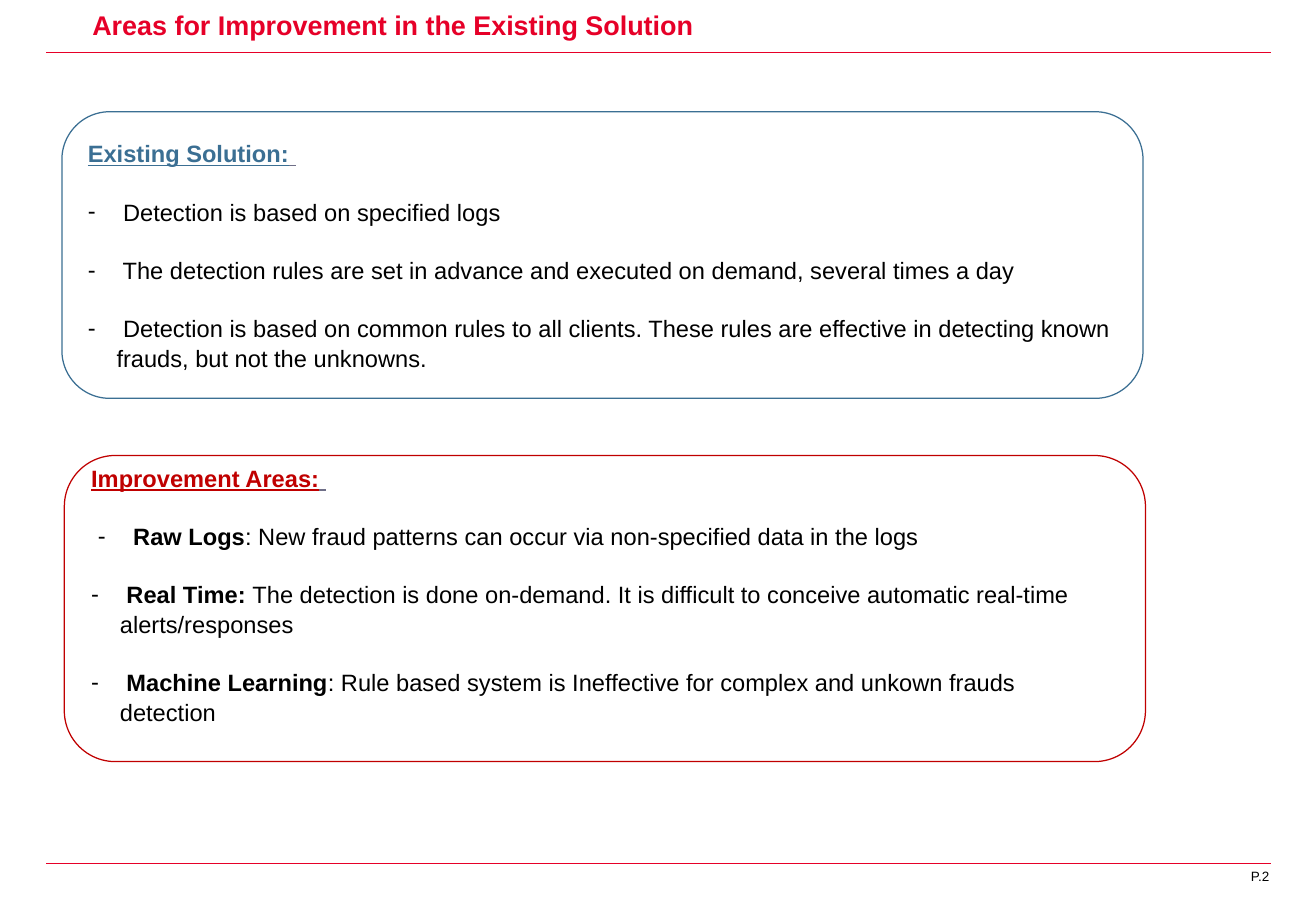
from lxml import etree
from pptx import Presentation
from pptx.dml.color import RGBColor
from pptx.enum.shapes import MSO_CONNECTOR, MSO_SHAPE
from pptx.enum.text import MSO_ANCHOR, MSO_AUTO_SIZE, PP_ALIGN
from pptx.oxml.ns import qn
from pptx.util import Pt

RED = RGBColor(0xE6, 0x00, 0x28)
BLUE = RGBColor(0x3B, 0x6F, 0x93)
DARK_RED = RGBColor(0xC0, 0x00, 0x00)
GREY = RGBColor(0x6E, 0x6E, 0x87)
BLACK = RGBColor(0, 0, 0)

TITLE = "Areas for Improvement in the Existing Solution"
PAGE_LABEL = "P.2"

# Points are (bold lead, plain text, left margin); lengths in points
PANELS = [
    {"heading": "Existing Solution:", "color": BLUE,
     "box": (36.72, 66.24, 640.8, 169.92),
     "insets": {"margin_right": 7.2, "margin_bottom": 3.6},
     "points": [
         ("", "Detection is based on specified logs", 17),
         ("", "The detection rules are set in advance and executed on demand, "
              "several times a day", 17),
         ("", "Detection is based on common rules to all clients. These rules are "
              "effective in detecting known frauds, but not the unknowns.", 17),
     ]},
    {"heading": "Improvement Areas:", "color": DARK_RED,
     "box": (38.16, 270, 640.8, 181.44),
     "insets": {"margin_right": 12, "margin_bottom": 20.5},
     "points": [
         ("Raw Logs", ": New fraud patterns can occur via non-specified data in the logs", 21),
         ("Real Time: ", "The detection is done on-demand. It is difficult to conceive "
                         "automatic real-time alerts/responses", 17),
         ("Machine Learning", ": Rule based system is Ineffective for complex and "
                              "unkown frauds detection", 17),
     ]},
]

RULE_LEFT, RULE_RIGHT = 27.36, 753.12
RULE_TOPS = (30.96, 511.92)
HANGING = 17
POINT_GAP = 16.9


def add_run(paragraph, text, size, color, **font_format):
    run = paragraph.add_run()
    run.text = text
    run.font.name = "Arial"
    run.font.size = Pt(size)
    run.font.color.rgb = color
    for name, value in font_format.items():
        setattr(run.font, name, value)


def add_dash(paragraph, left_margin):
    """Give the paragraph a dash bullet with a hanging indent."""
    properties = paragraph._p.get_or_add_pPr()
    properties.set("marL", str(Pt(left_margin)))
    properties.set("indent", str(-Pt(HANGING)))
    etree.SubElement(properties, qn("a:buFont"), typeface="Arial")
    etree.SubElement(properties, qn("a:buChar"), char="-")


def set_frame(frame, **frame_format):
    for name, value in frame_format.items():
        setattr(frame, name, value)


def add_rule(slide, top):
    rule = slide.shapes.add_connector(
        MSO_CONNECTOR.STRAIGHT, Pt(RULE_LEFT), Pt(top), Pt(RULE_RIGHT), Pt(top))
    rule.line.color.rgb = RED
    rule.line.width = Pt(0.5)
    etree.SubElement(rule._element.spPr, qn("a:effectLst"))


def add_title(slide):
    title = slide.shapes.title
    place = {"left": 47.52, "top": 3.6, "width": 668.16, "height": 30.24}
    for name, value in place.items():
        setattr(title, name, Pt(value))
    set_frame(title.text_frame, vertical_anchor=MSO_ANCHOR.TOP, word_wrap=True,
              auto_size=MSO_AUTO_SIZE.NONE)
    line = title.text_frame.paragraphs[0]
    line.alignment = PP_ALIGN.LEFT
    line.line_spacing = 0.9
    add_run(line, TITLE, 16, RED, bold=True)


def add_page_label(slide):
    label = slide.shapes.add_textbox(Pt(721.44), Pt(514.8), Pt(30.96), Pt(13.68))
    set_frame(label.text_frame, word_wrap=True, margin_left=0, margin_top=0,
              margin_right=0, margin_bottom=0)
    line = label.text_frame.paragraphs[0]
    line.alignment = PP_ALIGN.RIGHT
    add_run(line, PAGE_LABEL, 8, BLACK)


def add_panel(slide, panel):
    box = slide.shapes.add_shape(
        MSO_SHAPE.FLOWCHART_ALTERNATE_PROCESS, *map(Pt, panel["box"]))
    box.shadow.inherit = False
    box.fill.background()
    box.line.color.rgb = panel["color"]
    box.line.width = Pt(0.75)
    frame = box.text_frame
    insets = {name: Pt(value) for name, value in panel["insets"].items()}
    set_frame(frame, word_wrap=True, vertical_anchor=MSO_ANCHOR.MIDDLE, **insets)

    heading = frame.paragraphs[0]
    add_run(heading, panel["heading"], 14, panel["color"], bold=True, underline=True)
    add_run(heading, " ", 14, GREY, bold=True, underline=True)
    for lead, text, left_margin in panel["points"]:
        point = frame.add_paragraph()
        point.space_before = Pt(POINT_GAP)
        add_dash(point, left_margin)
        if lead:
            add_run(point, " " + lead, 14, BLACK, bold=True)
            add_run(point, text, 14, BLACK)
        else:
            add_run(point, " " + text, 14, BLACK)
    for paragraph in frame.paragraphs:
        paragraph.alignment = PP_ALIGN.LEFT
        paragraph.line_spacing = 1.05


def main():
    deck = Presentation()
    deck.slide_width, deck.slide_height = Pt(780), Pt(540)
    slide = deck.slides.add_slide(deck.slide_layouts[5])
    for top in RULE_TOPS:
        add_rule(slide, top)
    add_title(slide)
    add_page_label(slide)
    for panel in PANELS:
        add_panel(slide, panel)
    deck.save("out.pptx")


if __name__ == "__main__":
    main()
